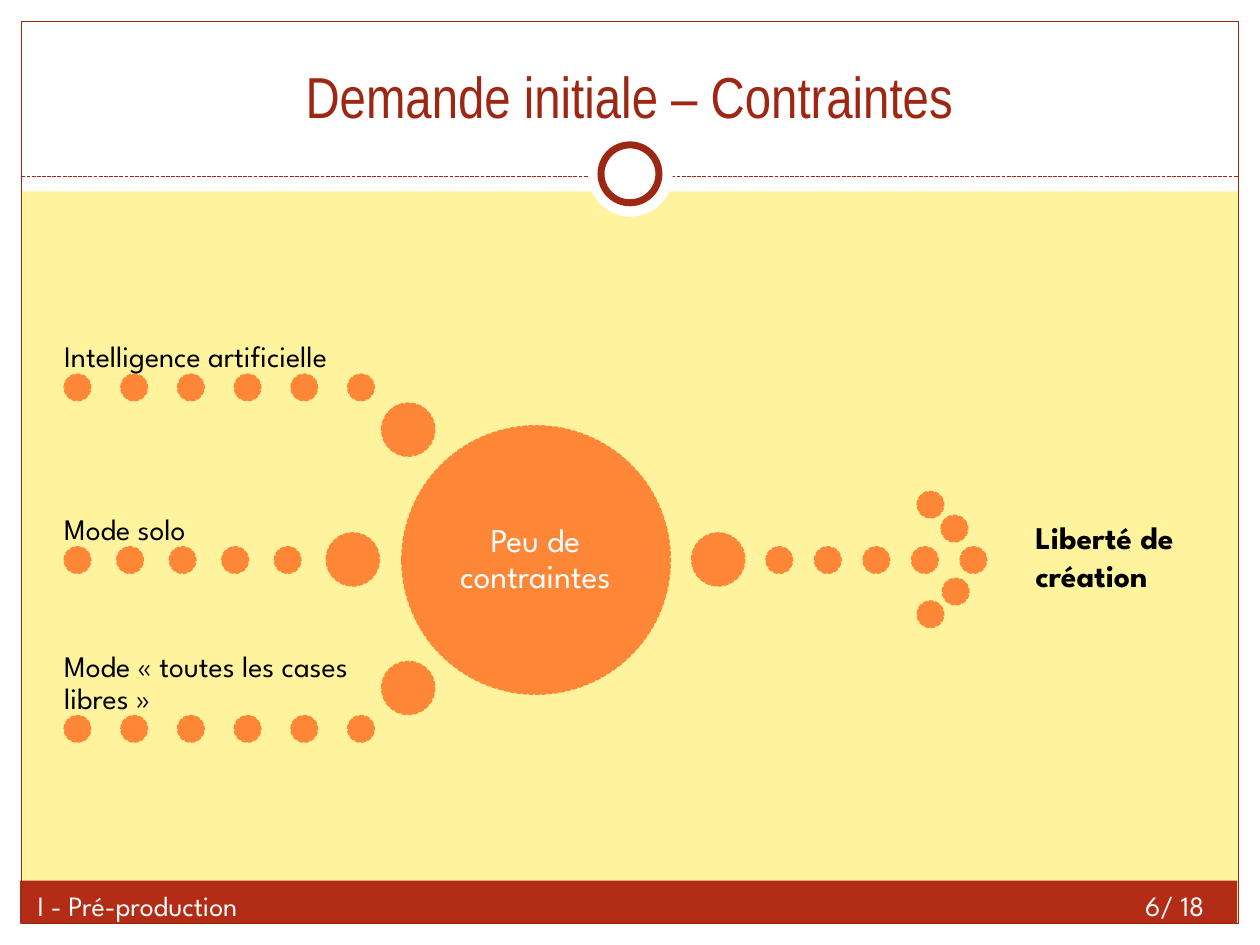
import pptx
import pptx.util
import pptx.dml.color
import pptx.enum.dml
import pptx.enum.shapes
import pptx.enum.text
import pptx.oxml.ns
import lxml.etree

Inches = pptx.util.Inches
Pt = pptx.util.Pt
rgb = pptx.dml.color.RGBColor.from_string
MSO_SHAPE = pptx.enum.shapes.MSO_SHAPE
ANCHOR = pptx.enum.text.MSO_ANCHOR
ALIGN = pptx.enum.text.PP_ALIGN
DASH = pptx.enum.dml.MSO_LINE.SQUARE_DOT

RED, BAR, ORANGE, WHITE, BLACK = "9E2713", "B32C16", "FE8637", "FFFFFF", "000000"
DOT, BIG = 0.21, 0.42

prs = pptx.Presentation()
prs.slide_width, prs.slide_height = Inches(10), Inches(7.5)
s = prs.slides.add_slide(prs.slide_layouts[5])
s.background.fill.solid()
s.background.fill.fore_color.rgb = rgb("FFF39D")


def add_shape(kind, x, y, w, h, fill=None, line=None, width=0.75, dash=None):
    sp = s.shapes.add_shape(kind, Inches(x), Inches(y), Inches(w), Inches(h))
    sp.shadow.inherit = False
    if fill:
        sp.fill.solid()
        sp.fill.fore_color.rgb = rgb(fill)
    else:
        sp.fill.background()
    if line:
        sp.line.color.rgb = rgb(line)
        sp.line.width = Pt(width)
        sp.line.dash_style = dash
    else:
        sp.line.fill.background()


def add_text(text, x, y, w, h, sp=None, size=17, font="League Spartan", color=BLACK,
             bold=False, align=ALIGN.LEFT, anchor=ANCHOR.TOP, margins=(0.1, 0.05),
             spacing=None, wrap=True):
    sp = sp or s.shapes.add_textbox(0, 0, 0, 0)
    sp.left, sp.top, sp.width, sp.height = Inches(x), Inches(y), Inches(w), Inches(h)
    tf = sp.text_frame
    tf.word_wrap = wrap
    tf.auto_size = pptx.enum.text.MSO_AUTO_SIZE.NONE
    tf.vertical_anchor = anchor
    tf.margin_left = tf.margin_right = Inches(margins[0])
    tf.margin_top = tf.margin_bottom = Inches(margins[1])
    p = tf.paragraphs[0]
    p.alignment = align
    p.line_spacing = spacing
    r = p.add_run()
    r.text = text
    r.font.name, r.font.size, r.font.bold = font, Pt(size), bold
    r.font.color.rgb = rgb(color)


for x, y, w, h, fill in [(0, 7.33, 10, 0.17, WHITE), (0, 0, 10, 1.52, WHITE),
                         (0, 0, 0.17, 7.5, WHITE), (9.83, 0, 0.17, 7.5, WHITE),
                         (0.16, 6.99, 9.66, 0.34, BAR)]:
    add_shape(MSO_SHAPE.RECTANGLE, x, y, w, h, fill)
add_shape(MSO_SHAPE.RECTANGLE, 0.17, 0.17, 9.66, 7.16, line=RED)

rule = s.shapes.add_connector(pptx.enum.shapes.MSO_CONNECTOR.STRAIGHT,
                              Inches(0.17), Inches(1.4), Inches(9.83), Inches(1.4))
rule.line.color.rgb = rgb(RED)
rule.line.width = Pt(0.75)
rule.line.dash_style = DASH
lxml.etree.SubElement(rule.element.spPr, pptx.oxml.ns.qn("a:effectLst"))

add_shape(MSO_SHAPE.OVAL, 4.67, 1.05, 0.67, 0.67, WHITE)
add_shape(MSO_SHAPE.OVAL, 4.77, 1.15, 0.46, 0.46, WHITE, RED, 4)

title = s.shapes.title
s.shapes.element.append(title.element)
add_text("Demande initiale – Contraintes", 0.33, 0.25, 9.33, 0.83, sp=title, size=33,
         font="Arial Narrow", color=RED, align=ALIGN.CENTER, anchor=ANCHOR.BOTTOM)

circles = [(3.19, 3.38, 2.13)]
circles += [(x, y, BIG) for x, y in [(5.49, 4.23), (3.03, 3.2), (2.59, 4.23), (3.03, 5.25)]]
circles += [(x, y, DOT) for x, y in [(7.28, 3.9), (7.28, 4.77), (7.47, 4.09), (7.48, 4.59)]]
for x, y, count, step in [(0.51, 2.97, 6, 0.45), (0.51, 4.34, 5, 0.417),
                          (0.51, 5.68, 6, 0.45), (6.08, 4.34, 5, 0.385)]:
    circles += [(x + i * step, y, DOT) for i in range(count)]
for x, y, d in circles:
    add_shape(MSO_SHAPE.OVAL, x, y, d, d, ORANGE, ORANGE, 0.9, DASH)

add_text("Peu de contraintes", 3.5, 3.69, 1.5, 1.51, size=19, color=WHITE,
         align=ALIGN.CENTER, anchor=ANCHOR.MIDDLE, margins=(0.03, 0.03), spacing=0.9)
for text, y, w in [("Intelligence artificielle", 2.43, 2.46), ("Mode solo", 3.8, 1.86),
                   ("Mode « toutes les cases libres »", 5.14, 2.46)]:
    add_text(text, 0.51, y, w, 0.54, anchor=ANCHOR.BOTTOM, margins=(0, 0), spacing=0.9)

add_text("Liberté de création", 8.12, 4.06, 1.53, 0.71, size=18, bold=True)
add_text("6/ 18", 8.99, 7, 0.73, 0.37, size=16, color=WHITE, wrap=False)
add_text("I - Pré-production", 0.2, 7, 3.46, 0.37, size=16, color=WHITE)

prs.save("out.pptx")
